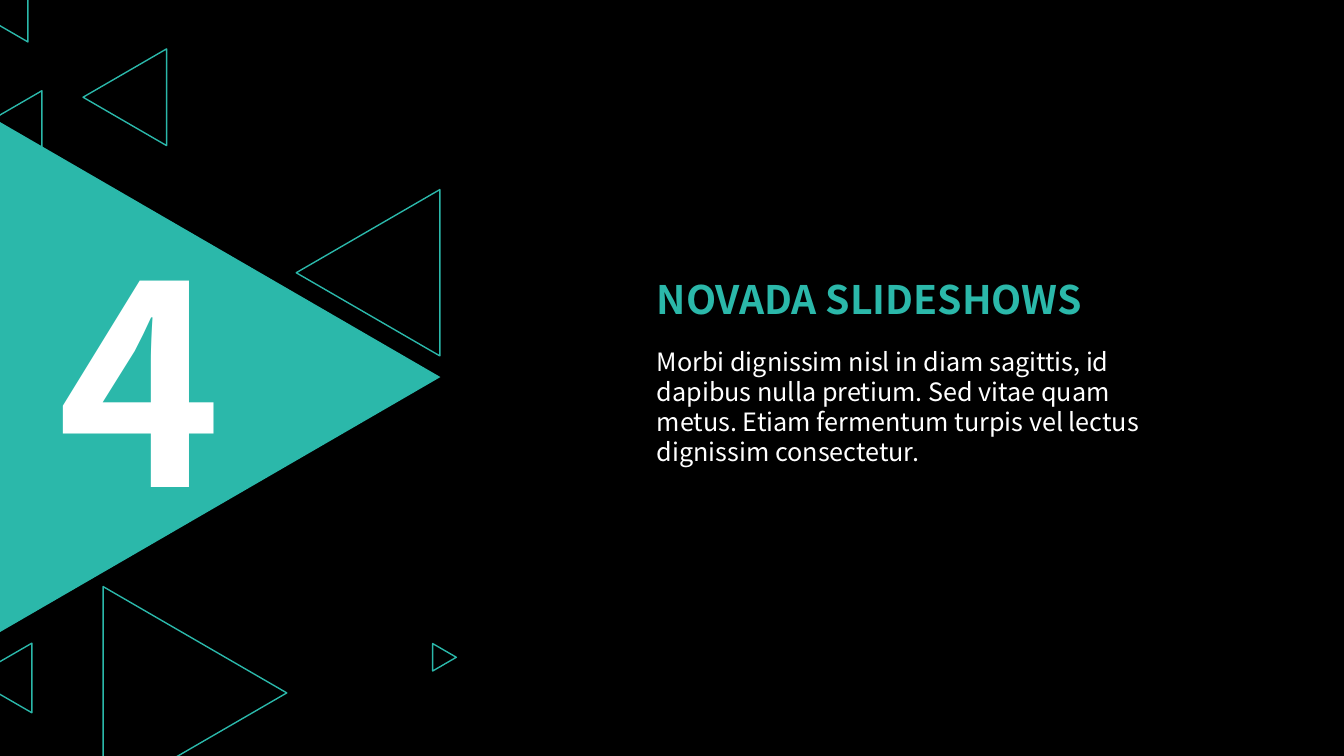
from pptx import Presentation
from pptx.dml.color import RGBColor
from pptx.enum.shapes import MSO_SHAPE
from pptx.enum.text import MSO_ANCHOR, MSO_AUTO_SIZE, PP_ALIGN
from pptx.util import Pt

TRIANGLE = MSO_SHAPE.ISOSCELES_TRIANGLE
TOP, NO_AUTOFIT = MSO_ANCHOR.TOP, MSO_AUTO_SIZE.NONE
LEFT, CENTER = PP_ALIGN.LEFT, PP_ALIGN.CENTER

COLORS = {"background": "000000", "accent": "2BB8AA", "text": "FFFFFF"}
FONT = "Noto Sans CJK SC"
PAGE_WIDTH, PAGE_HEIGHT = 960.5, 540
DEPTH_RATIO = 0.864  # depth of a triangle relative to its upright side
POINT_RIGHT, POINT_LEFT = 90, 270

# Left edge, top edge, length of the upright side, direction
OUTLINES = [
    (73.7, 419, 151.9, POINT_RIGHT),
    (211.7, 135.4, 118.8, POINT_LEFT),
    (-49, 64.8, 91.4, POINT_LEFT),
    (59.4, 34.9, 69.1, POINT_LEFT),
    (-20.2, 459.4, 49.7, POINT_LEFT),
    (309.2, 459.7, 19.6, POINT_RIGHT),
    (-50.4, -51.5, 81.4, POINT_LEFT),
]


def color(name):
    return RGBColor.from_string(COLORS[name])


def write(shape, text, left, top, width, height, *, size, fill="text",
          bold=False, align=LEFT):
    """Place a text shape and fill it with one formatted paragraph."""
    shape.left, shape.top = Pt(left), Pt(top)
    shape.width, shape.height = Pt(width), Pt(height)
    frame = shape.text_frame
    frame.word_wrap = True
    frame.auto_size = NO_AUTOFIT
    frame.vertical_anchor = TOP
    para = frame.paragraphs[0]
    para.alignment = align
    para.space_before = Pt(0)
    span = para.add_run()
    span.text = text
    span.font.name = FONT
    span.font.size = Pt(size)
    span.font.bold = bold
    span.font.color.rgb = color(fill)


def add_triangle(page, left, top, side, direction, filled=False):
    """Add a sideways triangle; left and top are its visible corner."""
    depth = side * DEPTH_RATIO
    shift = (side - depth) / 2
    triangle = page.shapes.add_shape(
        TRIANGLE, Pt(left - shift), Pt(top + shift), Pt(side), Pt(depth))
    triangle.rotation = direction
    triangle.shadow.inherit = False
    if filled:
        triangle.fill.solid()
        triangle.fill.fore_color.rgb = color("accent")
        triangle.line.fill.background()
    else:
        triangle.fill.background()
        triangle.line.color.rgb = color("accent")
        triangle.line.width = Pt(1)


def add_number_panel(page, number, left, top, side):
    add_triangle(page, left, top, side, POINT_RIGHT, filled=True)
    for x, y, length, direction in OUTLINES:
        add_triangle(page, left + x, y, length, direction)
    box = page.shapes.add_textbox(0, 0, 0, 0)
    write(box, number, left + 1.4, top + 58.2, 196.6, 248.4,
          size=199, bold=True, align=CENTER)


def add_section_text(page, heading, description, left, top, width):
    title, body = page.placeholders
    write(title, heading, left, top, width, 41,
          size=28, fill="accent", bold=True)
    write(body, description, left, top + 50.4, width - 16.6, 94.3, size=18)


def add_section_page(deck, number, heading, description):
    page = deck.slides.add_slide(deck.slide_layouts.get_by_name("Section Header"))
    page.background.fill.solid()
    page.background.fill.fore_color.rgb = color("background")
    add_number_panel(page, number, 0, 87.2, 364.3)
    add_section_text(page, heading, description, 462.2, 193, 409.7)


def main():
    deck = Presentation()
    deck.slide_width, deck.slide_height = Pt(PAGE_WIDTH), Pt(PAGE_HEIGHT)
    add_section_page(
        deck, "4", "NOVADA SLIDESHOWS",
        "Morbi dignissim nisl in diam sagittis, id dapibus nulla pretium. "
        "Sed vitae quam metus. Etiam fermentum turpis vel lectus dignissim "
        "consectetur.")
    deck.save("out.pptx")


if __name__ == "__main__":
    main()
